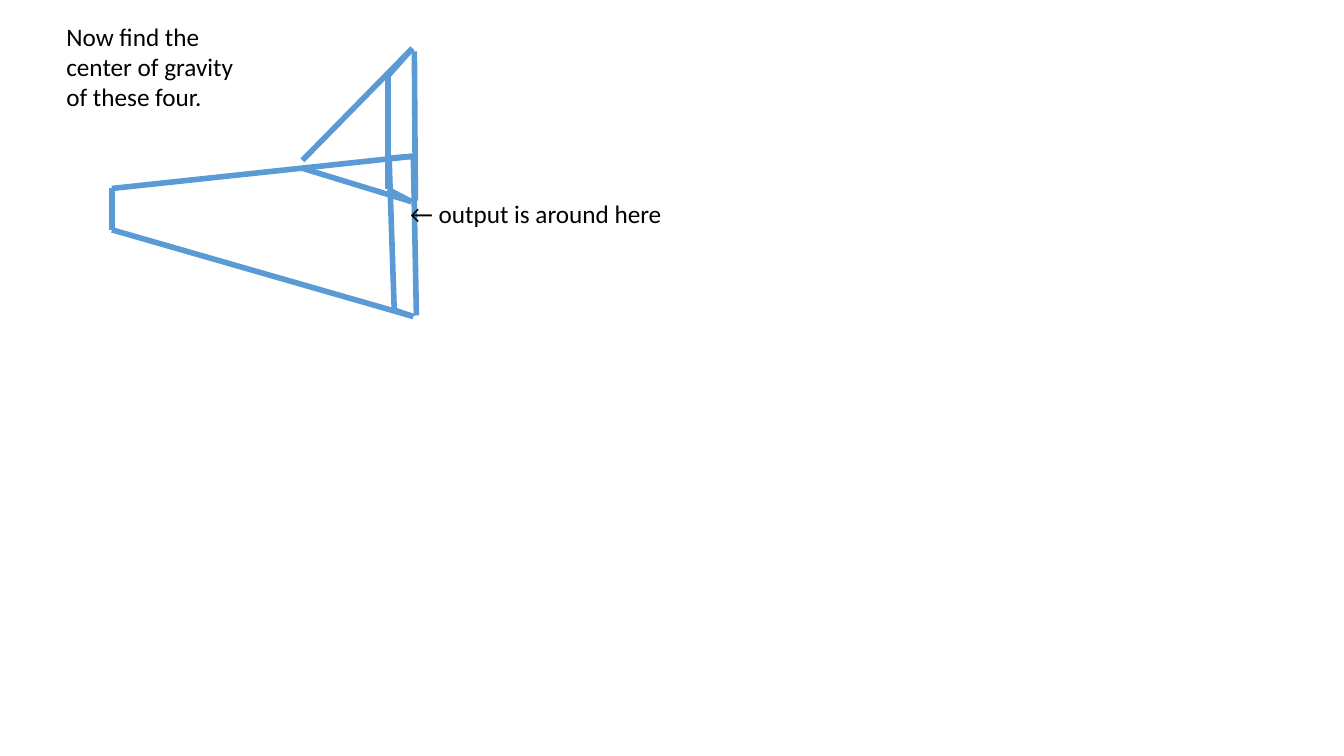
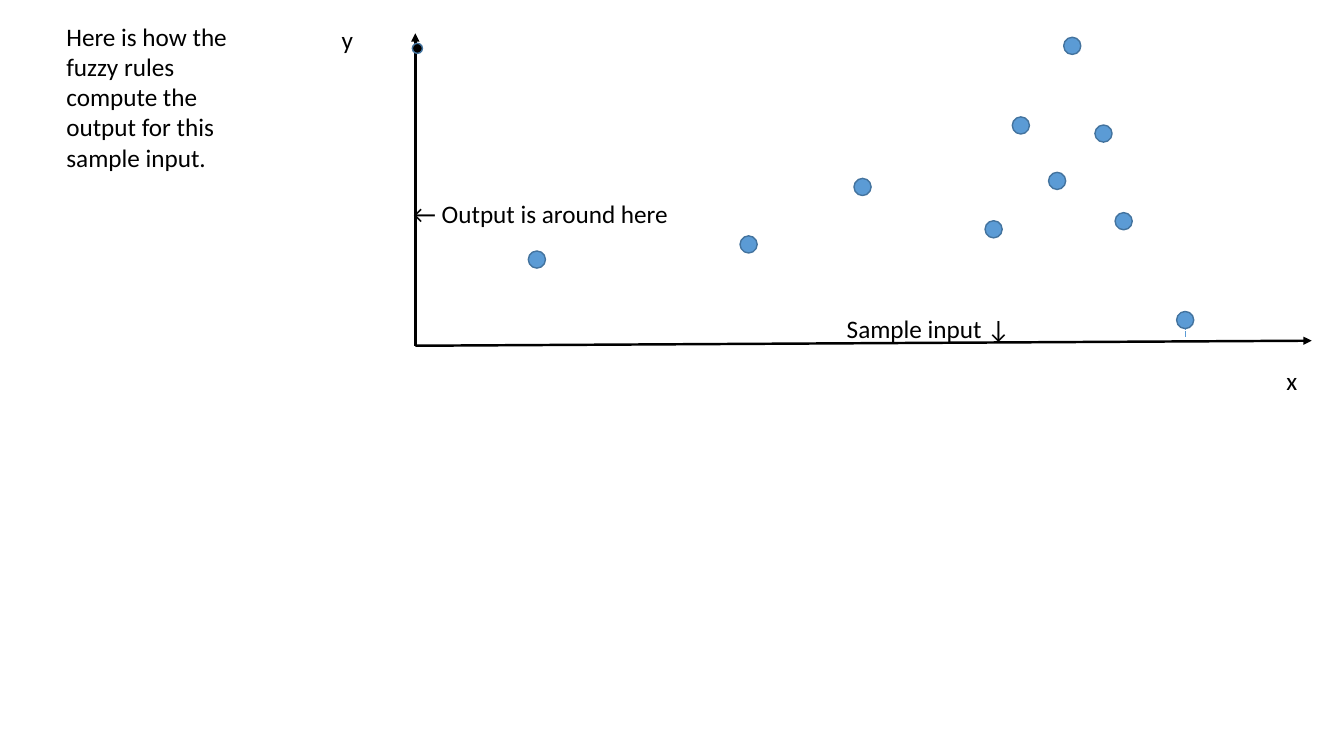
from typing import NamedTuple, Optional

from lxml.etree import SubElement
from pptx import Presentation
from pptx.dml.color import RGBColor
from pptx.enum.dml import MSO_LINE
from pptx.enum.shapes import MSO_CONNECTOR, MSO_SHAPE
from pptx.oxml.ns import qn
from pptx.util import Inches, Pt

# Shared style
BLUE = RGBColor(0x5B, 0x9B, 0xD5)
DARK_BLUE = RGBColor(0x43, 0x73, 0x9E)
BLACK = RGBColor(0, 0, 0)
FONT = "Calibri"
LINE_H = 0.4
DOT = 0.17


class Label(NamedTuple):
    text: str
    left: float
    top: float
    width: float
    height: float = LINE_H


class Segment(NamedTuple):
    x1: float
    y1: float
    x2: float
    y2: float


class Point(NamedTuple):
    left: float
    top: float


def add_label(slide, label: Label, *, size: float = 18, color: RGBColor = BLACK) -> None:
    tb = slide.shapes.add_textbox(*map(Inches, label[1:]))
    tf = tb.text_frame
    tf.word_wrap = True
    r = tf.paragraphs[0].add_run()
    r.text = label.text
    r.font.name, r.font.size = FONT, Pt(size)
    r.font.color.rgb = color


def add_line(slide, seg: Segment, *, color: RGBColor = BLUE, width: float = 4,
             dash: Optional[MSO_LINE] = None, arrow: bool = False) -> None:
    cn = slide.shapes.add_connector(MSO_CONNECTOR.STRAIGHT, *map(Inches, seg))
    cn.line.color.rgb = color
    cn.line.width = Pt(width)
    if dash is not None:
        cn.line.dash_style = dash
    if arrow:
        SubElement(cn.line._get_or_add_ln(), qn("a:tailEnd")).set("type", "triangle")
    SubElement(cn._element.spPr, qn("a:effectLst"))


def add_dot(slide, pt: Point, *, size: float = DOT, color: RGBColor = BLUE) -> None:
    sp = slide.shapes.add_shape(MSO_SHAPE.OVAL, *map(Inches, (*pt, size, size)))
    sp.shadow.inherit = False
    sp.fill.solid()
    sp.fill.fore_color.rgb = color
    sp.line.color.rgb = DARK_BLUE
    sp.line.width = Pt(1)


def add_slide(prs, caption: str, height: float):
    s = prs.slides.add_slide(prs.slide_layouts[6])
    add_label(s, Label(caption, 0.56, 0.16, 2.1, height))
    return s


# Slide 1: outlines of the four overlapping areas
OUTLINES = [
    # Large trapezoid
    Segment(1.11, 1.87, 1.11, 2.28),
    Segment(4.1, 1.55, 1.11, 1.87),
    Segment(4.1, 3.14, 1.11, 2.28),
    Segment(4.13, 3.13, 4.1, 1.55),
    # Narrow upper trapezoid
    Segment(3.85, 0.75, 4.09, 0.48),
    Segment(4.08, 2, 3.85, 1.88),
    Segment(4.12, 1.99, 4.11, 0.51),
    Segment(3.85, 1.88, 3.85, 0.75),
    # Triangle
    Segment(3, 1.59, 4.09, 0.48),
    Segment(4.08, 2, 3, 1.67),
    # Narrow lower trapezoid
    Segment(3.86, 1.59, 3.91, 3.07),
    Segment(4.1, 1.55, 3.85, 1.57),
    Segment(4.1, 3.14, 3.89, 3.07),
]

# Slide 2: axes, labels and data points
AXES = [Segment(4.12, 3.43, 13.01, 3.38), Segment(4.12, 3.43, 4.12, 0.33)]
PLOT_LABELS = [
    Label("← Output is around here", 4, 1.92, 3.22),
    Label("Sample input ↓", 8.3, 3.06, 2.23),
    Label("x", 12.66, 3.58, 0.29),
    Label("y", 3.29, 0.19, 0.29),
]
POINTS = [
    Point(5.24, 2.49), Point(7.34, 2.34), Point(8.47, 1.77),
    Point(9.77, 2.19), Point(10.04, 1.16), Point(10.4, 1.71),
    Point(10.55, 0.37), Point(10.86, 1.24), Point(11.06, 2.11),
    Point(11.67, 3.09),
]


def build_areas(prs) -> None:
    s = add_slide(prs, "Now find the center of gravity of these four.", 1.01)
    for seg in OUTLINES:
        add_line(s, seg)
    add_label(s, Label("← output is around here", 3.97, 1.92, 5.08))


def build_plot(prs) -> None:
    s = add_slide(prs, "Here is how the fuzzy rules compute the output "
                       "for this sample input.", 1.62)
    for label in PLOT_LABELS:
        add_label(s, label)
    for axis in AXES:
        add_line(s, axis, color=BLACK, width=1.75, arrow=True)
    add_dot(s, Point(4.09, 0.43), size=0.1, color=BLACK)
    add_line(s, Segment(11.76, 3.34, 11.76, 3.26), width=0.5, dash=MSO_LINE.LONG_DASH)
    for pt in POINTS:
        add_dot(s, pt)


prs = Presentation()
prs.slide_width, prs.slide_height = Inches(13.33), Inches(7.5)
build_areas(prs)
build_plot(prs)
prs.save("out.pptx")
